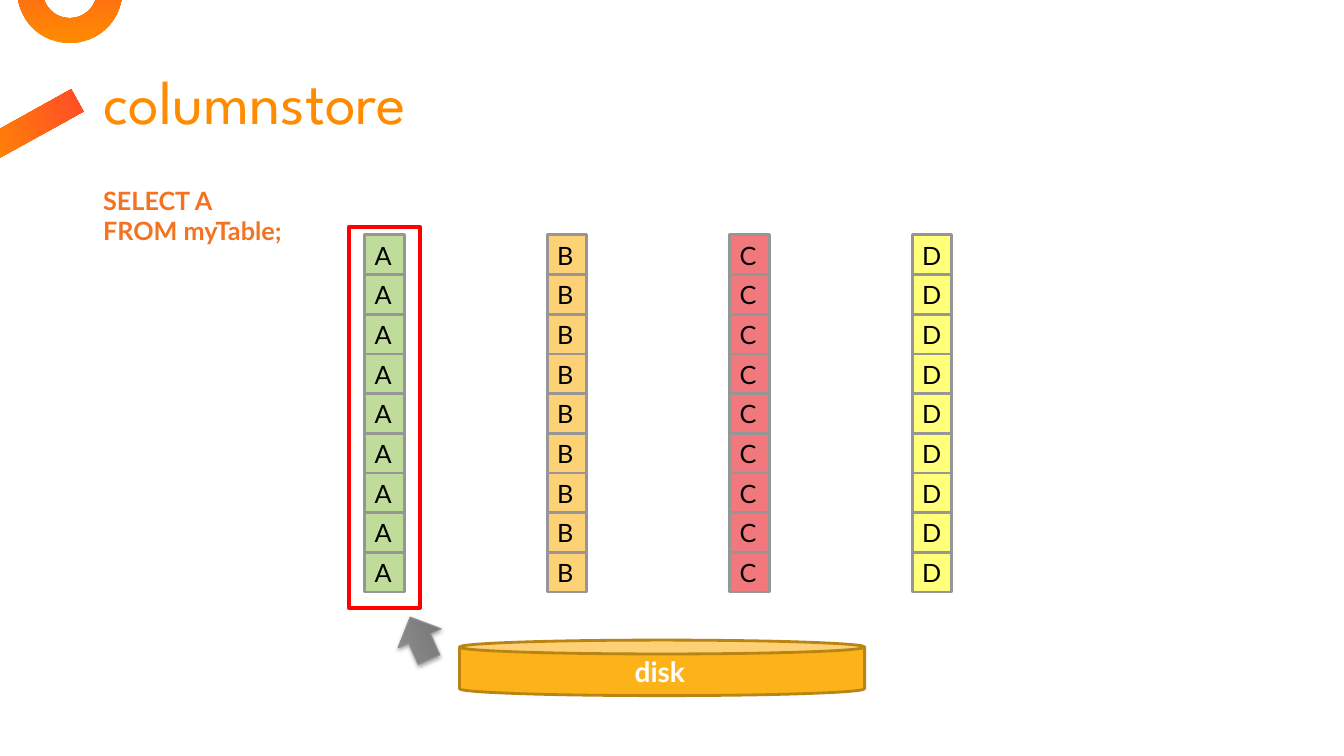
import lxml.etree
import pptx
import pptx.dml.color
import pptx.enum.shapes
import pptx.enum.text
import pptx.oxml.ns
import pptx.util

Cm = pptx.util.Cm
Pt = pptx.util.Pt
RGBColor = pptx.dml.color.RGBColor
SHAPE = pptx.enum.shapes.MSO_SHAPE
ANCHOR = pptx.enum.text.MSO_ANCHOR

ORANGE = RGBColor(0xFF, 0x8C, 0x00)
RED_ORANGE = RGBColor(0xFF, 0x4B, 0x28)
QUERY_ORANGE = RGBColor(0xF4, 0x73, 0x21)
DISK_FILL = RGBColor(0xFC, 0xB2, 0x19)
DISK_LINE = RGBColor(0xBA, 0x84, 0x12)
GREEN = RGBColor(0xC0, 0xDC, 0x9B)
SAND = RGBColor(0xFD, 0xD1, 0x75)
ROSE = RGBColor(0xF1, 0x79, 0x7E)
YELLOW = RGBColor(0xFF, 0xFF, 0x79)
CELL_LINE = RGBColor(0x96, 0x96, 0x96)
ARROW_DARK = RGBColor(0x70, 0x70, 0x70)
ARROW_LIGHT = RGBColor(0x92, 0x92, 0x92)
RED = RGBColor(0xFF, 0x00, 0x00)
BLACK = RGBColor(0x00, 0x00, 0x00)
WHITE = RGBColor(0xFF, 0xFF, 0xFF)

COLUMNS = [("A", GREEN), ("B", SAND), ("C", ROSE), ("D", YELLOW)]
ROWS = 9
CELL = 1.0
COLUMN_PITCH = 4.6


def add_shape(shapes, kind, x, y, w, h, fill=None, line=None, width=2):
    """Add a flat shape; a pair of colours as fill gives a bottom-to-top gradient."""
    sp = shapes.add_shape(kind, Cm(x), Cm(y), Cm(w), Cm(h))
    sp.shadow.inherit = False
    if fill is None:
        sp.fill.background()
    elif isinstance(fill, RGBColor):
        sp.fill.solid()
        sp.fill.fore_color.rgb = fill
    else:
        sp.fill.gradient()
        sp.fill.gradient_angle = 90
        for stop, color in zip(sp.fill.gradient_stops, fill):
            stop.color.rgb = color
    if line is None:
        sp.line.fill.background()
    else:
        sp.line.color.rgb = line
        sp.line.width = Pt(width)
    return sp


def write(sp, text, size, color, font="Lato", bold=False, anchor=ANCHOR.TOP):
    tf = sp.text_frame
    tf.word_wrap = True
    tf.vertical_anchor = anchor
    p = tf.paragraphs[0]
    p.text = text
    p.alignment = pptx.enum.text.PP_ALIGN.LEFT
    p.font.name = font
    p.font.size = Pt(size)
    p.font.bold = bold
    p.font.color.rgb = color
    return p


def add_text(s, x, y, w, h, text, size, color, **style):
    sp = s.shapes.add_textbox(Cm(x), Cm(y), Cm(w), Cm(h))
    return write(sp, text, size, color, **style)


def add_decoration(s, x, y):
    """Ring and slanted bar in the corner."""
    gradient = (ORANGE, RED_ORANGE)
    ring = add_shape(s.shapes, SHAPE.DONUT, x, y, 2.64, 2.64, gradient)
    ring.adjustments[0] = 0.24
    bar = add_shape(s.shapes, SHAPE.RECTANGLE, x, y + 3.38, 0.64, 2.72, gradient)
    bar.rotation = 61


def add_heading(s, x, y, w):
    p = add_text(s, x, y, w, 2.24, "columnstore", 44, ORANGE,
                 font="League Spartan", anchor=ANCHOR.BOTTOM)
    p.line_spacing = 0.9
    add_text(s, x, y + 3.2, 5.79, 1.8, "SELECT A\vFROM myTable;", 18,
             QUERY_ORANGE, bold=True)


def add_column(s, x, y, label, color):
    group = s.shapes.add_group_shape()
    for row in range(ROWS):
        cell = add_shape(group.shapes, SHAPE.RECTANGLE, x, y + row * CELL,
                         CELL, CELL, color, CELL_LINE)
        write(cell, label, 18, BLACK)


def add_columns(s, x, y):
    """Four stored columns, the first one framed and pointed at."""
    for i, (label, color) in enumerate(COLUMNS):
        add_column(s, x + i * COLUMN_PITCH, y, label, color)
    add_shape(s.shapes, SHAPE.RECTANGLE, x - 0.4, y - 0.2, CELL + 0.8,
              ROWS * CELL + 0.6, line=RED, width=2.5)
    arrow = add_shape(s.shapes, SHAPE.RIGHT_ARROW, x + 0.8, y + 9.57, 1.17, 1.19,
                      (ARROW_DARK, ARROW_LIGHT), ARROW_LIGHT, 0.75)
    arrow.rotation = 246.1
    add_drop_shadow(arrow)


def add_drop_shadow(sp):
    qn = pptx.oxml.ns.qn
    effects = sp._element.spPr.find(qn("a:effectLst"))
    shadow = lxml.etree.SubElement(
        effects, qn("a:outerShdw"), blurRad=str(Pt(3.1)), dist=str(Pt(1.8)),
        dir="5400000", rotWithShape="0")
    color = lxml.etree.SubElement(shadow, qn("a:srgbClr"), val="000000")
    lxml.etree.SubElement(color, qn("a:alpha"), val="35000")


def add_disk(s, x, y, w, h):
    add_shape(s.shapes, SHAPE.CAN, x, y, w, h, DISK_FILL, DISK_LINE)
    label_w = 2.0
    add_text(s, x + (w - label_w) / 2 + 0.06, y + 0.25, label_w, 1.12,
             "disk", 20, WHITE, bold=True)


def main():
    prs = pptx.Presentation()
    prs.slide_width, prs.slide_height = Cm(33.87), Cm(19.05)
    s = prs.slides.add_slide(prs.slide_layouts[6])
    add_decoration(s, 0.44, -1.55)
    add_heading(s, 2.35, 1.35, 29.21)
    add_disk(s, 11.58, 16.13, 10.21, 1.4)
    add_columns(s, 9.19, 5.92)
    prs.save("out.pptx")


if __name__ == "__main__":
    main()
